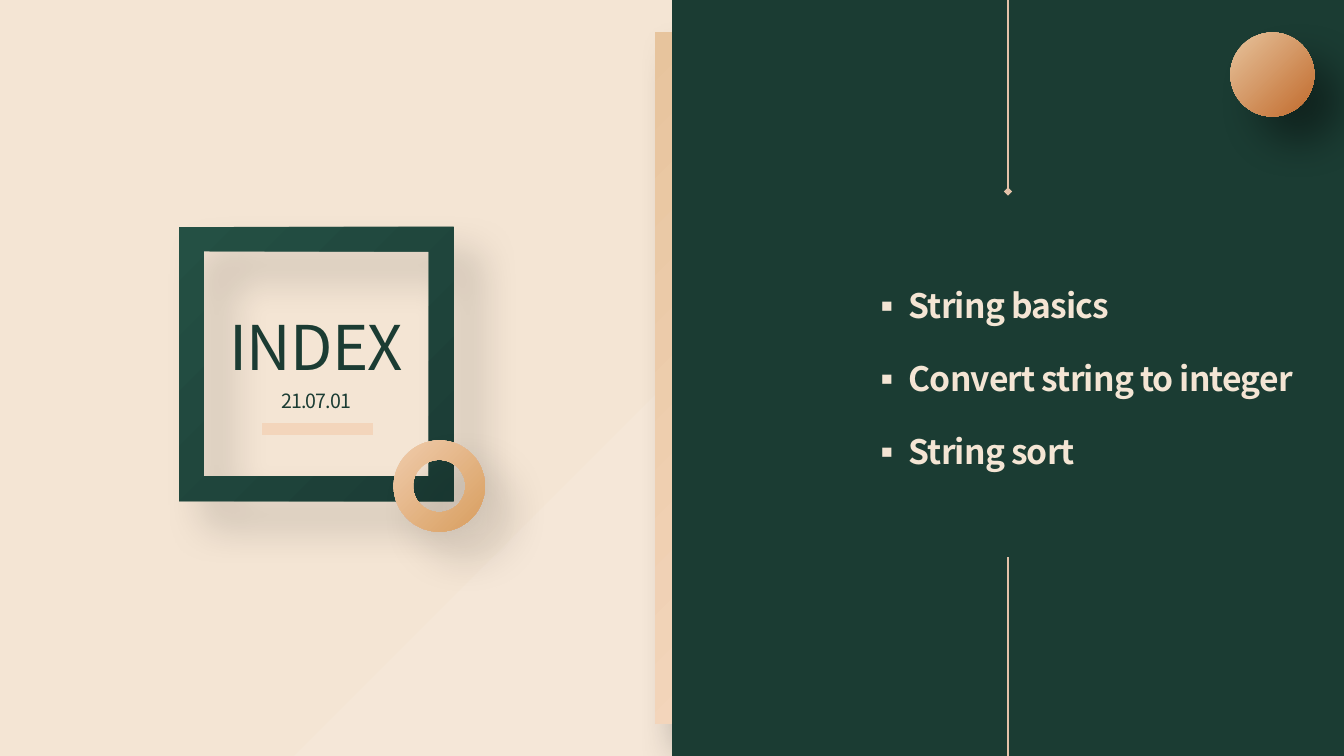
from lxml import etree
from pptx import Presentation
from pptx.dml.color import RGBColor
from pptx.enum.shapes import MSO_CONNECTOR, MSO_SHAPE
from pptx.enum.text import MSO_ANCHOR, PP_ALIGN
from pptx.oxml.ns import qn
from pptx.util import Pt

RECT, FRAME = MSO_SHAPE.RECTANGLE, MSO_SHAPE.FRAME
DONUT, OVAL = MSO_SHAPE.DONUT, MSO_SHAPE.OVAL
STRAIGHT = MSO_CONNECTOR.STRAIGHT
MIDDLE = MSO_ANCHOR.MIDDLE
LEFT, CENTER = PP_ALIGN.LEFT, PP_ALIGN.CENTER

TITLE = "INDEX"
DATE = "21.07.01"
TOPICS = ["String basics", "Convert string to integer", "String sort"]

THEME = {
    "font": "Noto Sans CJK KR",
    "title": 44, "date": 14, "topic": 24,
    "dark": "1B3C33", "cream": "F4E5D4", "line": "E4C2A9", "bar": "F3D5BB",
    "page": ("F5E7D8", "F4E5D4"),
    "panel": ("1B3C35", "1B3C33"),
    "strip": ("E7C49D", "F3D5BB"),
    "frame": ("245044", "1B3C35"),
    "ring": ("F0CCAC", "D89E5F"),
    "ball": ("E7C49D", "C16A2C"),
}

W, H = 960, 540
MARGIN = 23.2
PANEL_X = W / 2
AXIS_X = PANEL_X * 1.5
FRAME_X, FRAME_Y, FRAME_SIZE = 128, 162, 196
RING_SIZE, BALL_SIZE = 65.2, 60
BAR_W, BAR_Y = 79.2, 306.5
TOPIC_X, TOPIC_W, INDENT = 615, 339, 27

prs = Presentation()
prs.slide_width, prs.slide_height = Pt(W), Pt(H)
s = prs.slides.add_slide(prs.slide_layouts[6])


def rgb(name):
    return RGBColor.from_string(THEME.get(name, name))


def add_node(parent, tag, **attrs):
    return etree.SubElement(parent, qn(tag), {k: str(v) for k, v in attrs.items()})


def gradient(fill, element, colors, radial=False):
    """Fill diagonally, or radially from the bottom right corner."""
    fill.gradient()
    fill.gradient_angle = 315
    for stop, color in zip(fill.gradient_stops, THEME[colors]):
        stop.color.rgb = rgb(color)
    if radial:
        lin = next(element.iter(qn("a:lin")))
        grad = lin.getparent()
        grad.remove(lin)
        circle = add_node(grad, "a:path", path="circle")
        add_node(circle, "a:fillToRect", l=100000, t=100000)


def shape(kind, x, y, w, h, colors, shadow=None, adj=None, radial=False):
    """Add a gradient shape; shadow is its opacity in percent."""
    sp = s.shapes.add_shape(kind, Pt(x), Pt(y), Pt(w), Pt(h))
    sp.shadow.inherit = False
    sp.line.fill.background()
    gradient(sp.fill, sp._element, colors, radial)
    if adj is not None:
        sp.adjustments[0] = adj
    if shadow:
        effects = next(sp._element.iter(qn("a:effectLst")))
        outer = add_node(effects, "a:outerShdw", blurRad=Pt(30), dist=Pt(26),
                         dir=45 * 60000, algn="tl", rotWithShape=0)
        color = add_node(outer, "a:srgbClr", val="000000")
        add_node(color, "a:alpha", val=shadow * 1000)


def line(x1, y1, x2, y2, color="line", width=0.75, tail=None):
    c = s.shapes.add_connector(STRAIGHT, Pt(x1), Pt(y1), Pt(x2), Pt(y2))
    c.line.color.rgb = rgb(color)
    c.line.width = Pt(width)
    if tail:
        add_node(c.line._get_or_add_ln(), "a:tailEnd", type=tail)
    add_node(c._element.spPr, "a:effectLst")


def text(lines, x, y, w, h, size, color, bold=False, align=LEFT, spacing=None,
         gap=0, inset=(0, 0), bullet=None):
    tf = s.shapes.add_textbox(Pt(x), Pt(y), Pt(w), Pt(h)).text_frame
    tf.word_wrap = True
    tf.vertical_anchor = MIDDLE
    tf.margin_left = tf.margin_right = Pt(inset[0])
    tf.margin_top = tf.margin_bottom = Pt(inset[1])
    for i, content in enumerate(lines):
        p = tf.paragraphs[0] if i == 0 else tf.add_paragraph()
        if bullet:
            ppr = p._p.get_or_add_pPr()
            ppr.set("marL", str(Pt(INDENT)))
            ppr.set("indent", str(-Pt(INDENT)))
            add_node(ppr, "a:buFont", typeface=THEME["font"])
            add_node(ppr, "a:buChar", char=bullet)
        p.alignment = align
        if spacing:
            p.line_spacing = spacing
        if i and gap:
            p.space_before = Pt(gap)
        r = p.add_run()
        r.text = content
        r.font.size, r.font.bold = Pt(THEME[size]), bold
        r.font.name = THEME["font"]
        r.font.color.rgb = rgb(color)
        rpr = r.font._element
        rpr.set("spc", "-60")
        add_node(rpr, "a:ea", typeface=THEME["font"])


gradient(s.background.fill, s.element, "page", radial=True)
shape(RECT, PANEL_X - 12, MARGIN, 26.6, H - 2 * MARGIN, "strip", shadow=40)
shape(RECT, PANEL_X, 0, W - PANEL_X, H, "panel", radial=True)
shape(FRAME, FRAME_X, FRAME_Y, FRAME_SIZE, FRAME_SIZE, "frame", shadow=17, adj=0.09)
shape(DONUT, 281.2, 314.6, RING_SIZE, RING_SIZE, "ring", shadow=17, adj=0.213)

text([TITLE], FRAME_X, 219.6, FRAME_SIZE, 44.6, "title", "dark", align=CENTER, spacing=1.2)
text([DATE], FRAME_X, 272.2, FRAME_SIZE, 24.5, "date", "dark", align=CENTER, spacing=1.2)
text(TOPICS, TOPIC_X, MARGIN, TOPIC_W, H - 2 * MARGIN, "topic", "cream", bold=True,
     gap=23.2, inset=(7.2, 3.6), bullet="▪")

shape(OVAL, W - BALL_SIZE - 21.2, MARGIN, BALL_SIZE, BALL_SIZE, "ball", shadow=40)
line(AXIS_X, 0, AXIS_X, 136.8, tail="diamond")
line(AXIS_X, 398, AXIS_X, H)
bar_x = FRAME_X + (FRAME_SIZE - BAR_W) / 2 + 0.8
line(bar_x, BAR_Y, bar_x + BAR_W, BAR_Y, color="bar", width=8)

prs.save("out.pptx")
